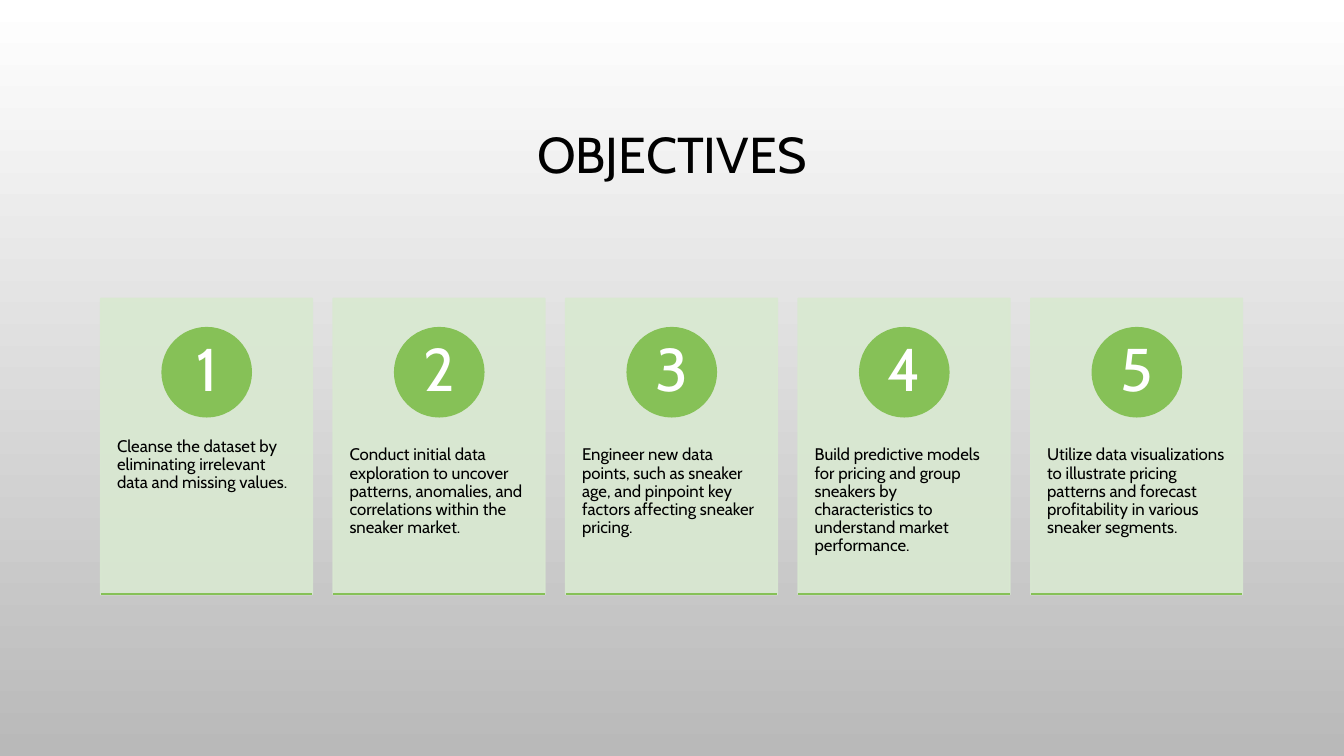
from lxml.etree import SubElement
from pptx import Presentation
from pptx.dml.color import RGBColor
from pptx.enum.shapes import MSO_CONNECTOR, MSO_SHAPE
from pptx.enum.text import MSO_ANCHOR, PP_ALIGN
from pptx.oxml.ns import qn
from pptx.util import Cm, Pt

WHITE = RGBColor(0xFF, 0xFF, 0xFF)
BLACK = RGBColor(0x00, 0x00, 0x00)
GRAY = RGBColor(0xB9, 0xB9, 0xB9)
GREEN = RGBColor(0x86, 0xC1, 0x57)
PALE = RGBColor(0xD9, 0xE9, 0xD1)

FONT = "Cabin"
LEFT, PITCH, WIDTH = 2.54, 5.86, 5.33
GOALS = [
    "Cleanse the dataset by eliminating irrelevant data and missing values.",
    "Conduct initial data exploration to uncover patterns, anomalies, and "
    "correlations within the sneaker market.",
    "Engineer new data points, such as sneaker age, and pinpoint key factors "
    "affecting sneaker pricing.",
    "Build predictive models for pricing and group sneakers by characteristics "
    "to understand market performance.",
    "Utilize data visualizations to illustrate pricing patterns and forecast "
    "profitability in various sneaker segments.",
]


def set_text(frame, text, size, color, align, anchor):
    frame.text = text
    frame.word_wrap = True
    frame.vertical_anchor = anchor
    para = frame.paragraphs[0]
    para.alignment = align
    para.line_spacing = 0.9
    font = para.runs[0].font
    font.name, font.size = FONT, Pt(size)
    font.color.rgb = color


def add_title(slide, text):
    title = slide.shapes.title
    title.left, title.top = Cm(2.54), Cm(1.73)
    title.width, title.height = Cm(28.78), Cm(4.45)
    set_text(title.text_frame, text, 36, BLACK, PP_ALIGN.CENTER, MSO_ANCHOR.MIDDLE)


def add_shape(slide, kind, x, y, w, h, color, alpha=100):
    shape = slide.shapes.add_shape(kind, Cm(x), Cm(y), Cm(w), Cm(h))
    shape.shadow.inherit = False
    shape.fill.solid()
    shape.fill.fore_color.rgb = color
    shape.line.color.rgb = color
    shape.line.width = Pt(1.25)
    if alpha < 100:
        for node in shape.element.spPr.iter(qn("a:srgbClr")):
            SubElement(node, qn("a:alpha"), val=str(alpha * 1000))


def add_text(slide, x, y, w, h, pad, text, size, color, align, anchor):
    box = slide.shapes.add_textbox(Cm(x), Cm(y), Cm(w), Cm(h))
    frame = box.text_frame
    frame.margin_left = frame.margin_right = Cm(pad[0])
    frame.margin_top = frame.margin_bottom = Cm(pad[1])
    set_text(frame, text, size, color, align, anchor)


def add_rule(slide, x, y, w):
    rule = slide.shapes.add_connector(
        MSO_CONNECTOR.STRAIGHT, Cm(x), Cm(y), Cm(x + w), Cm(y))
    rule.line.color.rgb = GREEN
    rule.line.width = Pt(1.25)
    SubElement(rule.element.spPr, qn("a:effectLst"))


def add_card(slide, x, label, goal):
    add_shape(slide, MSO_SHAPE.RECTANGLE, x, 7.52, WIDTH, 7.46, PALE, 90)
    add_text(slide, x, 10.34, WIDTH, 4.47, (0.41, 0.91), goal, 12, BLACK,
             PP_ALIGN.LEFT, MSO_ANCHOR.TOP)
    add_shape(slide, MSO_SHAPE.OVAL, x + 1.55, 8.26, 2.24, 2.24, GREEN)
    add_text(slide, x + 1.88, 8.59, 1.58, 1.58, (0.18, 0.03), label, 43, WHITE,
             PP_ALIGN.CENTER, MSO_ANCHOR.MIDDLE)
    add_rule(slide, x, 14.97, WIDTH)


def shade(slide):
    fill = slide.background.fill
    fill.gradient()
    fill.gradient_angle = 270
    for stop, color in zip(fill.gradient_stops, (WHITE, GRAY)):
        stop.color.rgb = color


def main():
    deck = Presentation()
    deck.slide_width, deck.slide_height = Cm(33.87), Cm(19.05)
    slide = deck.slides.add_slide(deck.slide_layouts[5])
    shade(slide)
    add_title(slide, "OBJECTIVES")
    for i, goal in enumerate(GOALS):
        add_card(slide, LEFT + i * PITCH, str(i + 1), goal)
    deck.save("out.pptx")


if __name__ == "__main__":
    main()
